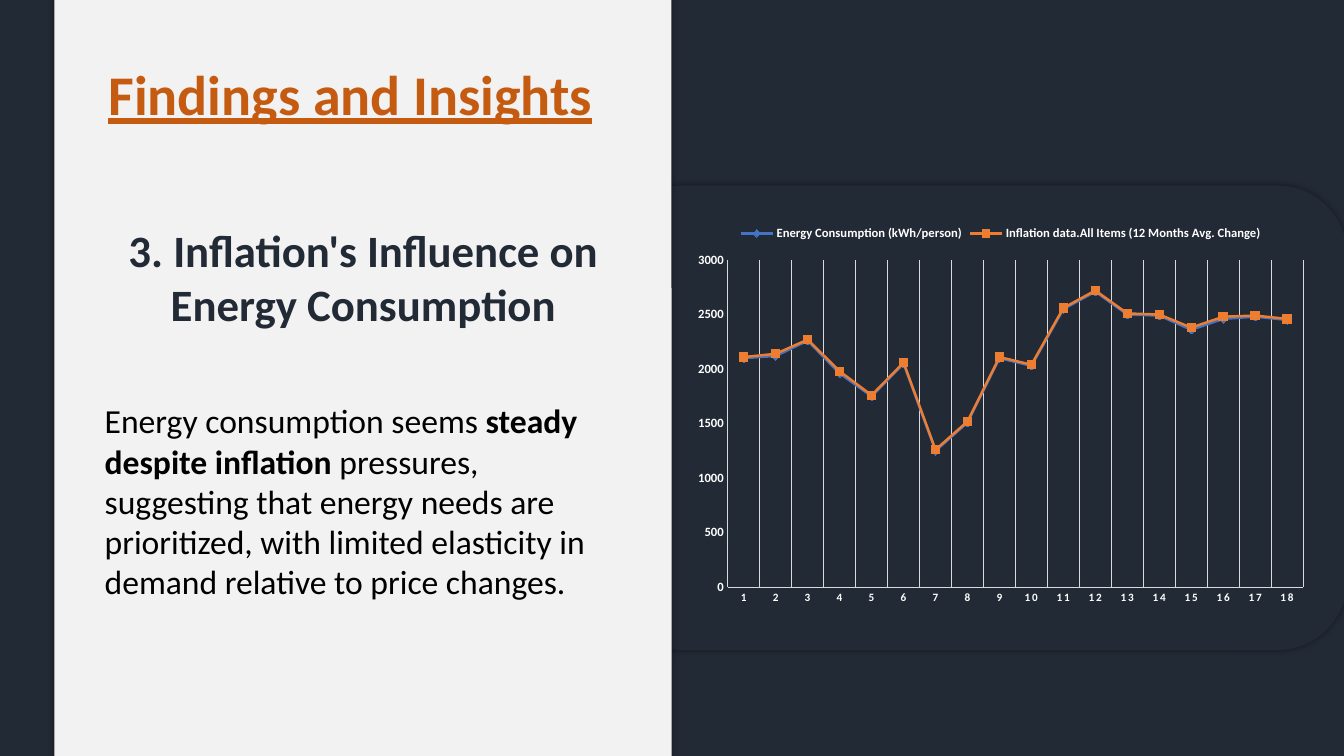
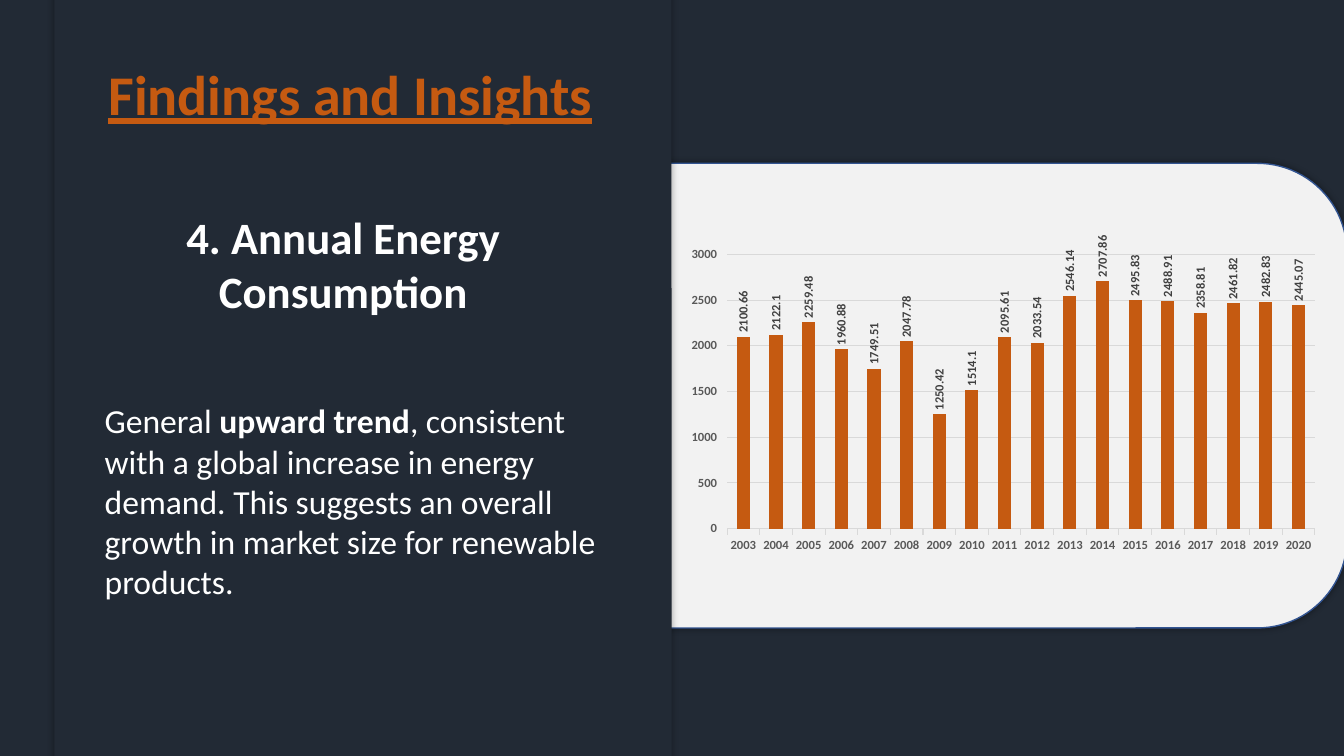
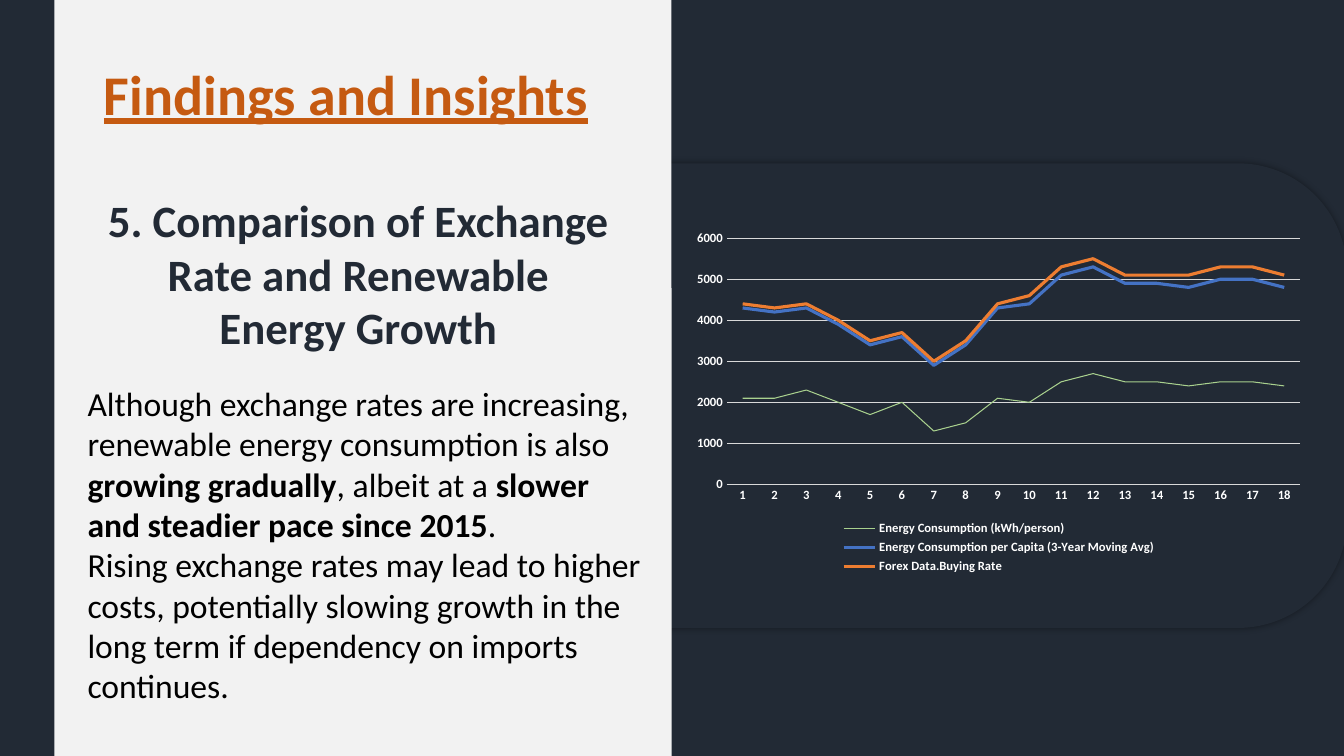
from dataclasses import dataclass
from itertools import zip_longest

from lxml import etree
from pptx import Presentation
from pptx.chart.data import CategoryChartData
from pptx.dml.color import RGBColor
from pptx.enum.chart import (XL_CHART_TYPE, XL_LABEL_POSITION,
                             XL_LEGEND_POSITION, XL_MARKER_STYLE, XL_TICK_MARK)
from pptx.enum.shapes import MSO_SHAPE
from pptx.enum.text import MSO_ANCHOR, MSO_AUTO_SIZE, PP_ALIGN
from pptx.oxml.ns import qn
from pptx.util import Inches, Pt


@dataclass(frozen=True)
class Theme:
    font: str = "Calibri"
    navy: str = "222A35"
    light: str = "F2F2F2"
    rust: str = "C55A11"
    white: str = "FFFFFF"
    black: str = "000000"
    blue: str = "4472C4"
    orange: str = "ED7D31"
    green: str = "A9D18E"
    card_edge: str = "325491"
    grid: str = "D9D9D9"
    axis_gray: str = "595959"
    label_gray: str = "404040"
    title_size: float = 40
    heading_size: float = 32
    body_size: float = 24
    chart_size: float = 9
    small_size: float = 8


THEME = Theme()
PANEL_BOX = (0.54, -1.12, 6.12, 9.59)
CARD_RIGHT, CARD_HEIGHT = 13.36, 4.61
CORNER = 0.83

ENERGY = "Energy Consumption (kWh/person)"
MONTHS = [str(n) for n in range(1, 19)]
YEARS = [str(year) for year in range(2003, 2021)]


def rgb(color):
    return RGBColor.from_string(color)


def place(box):
    return [Inches(length) for length in box]


def style_font(font, size, color, bold=None):
    font.name, font.size, font.bold = THEME.font, Pt(size), bold
    font.color.rgb = rgb(color)


def add_block(slide, box, radius, color, edge=None, shadow=True):
    """Rounded block with an optional edge and soft dark glow."""
    block = slide.shapes.add_shape(MSO_SHAPE.ROUNDED_RECTANGLE, *place(box))
    block.adjustments[0] = radius / min(box[2:])
    block.fill.solid()
    block.fill.fore_color.rgb = rgb(color)
    if edge:
        block.line.color.rgb = rgb(edge)
        block.line.width = Pt(1)
    else:
        block.line.fill.background()
    block.shadow.inherit = False
    if shadow:
        effects = block._element.spPr.find(qn("a:effectLst"))
        glow = etree.SubElement(effects, qn("a:outerShdw"), blurRad=str(Pt(5)),
                                dist="0", dir="0", algn="ctr", rotWithShape="0")
        tint = etree.SubElement(glow, qn("a:srgbClr"), val=THEME.black)
        etree.SubElement(tint, qn("a:alpha"), val="40000")


def fill_text(shape, box, paragraphs, size, color, bold=None, align=PP_ALIGN.LEFT):
    """Place a text shape; every second span of a paragraph is bold."""
    shape.left, shape.top, shape.width, shape.height = place(box)
    frame = shape.text_frame
    frame.word_wrap = True
    frame.auto_size = MSO_AUTO_SIZE.SHAPE_TO_FIT_TEXT
    frame.vertical_anchor = MSO_ANCHOR.TOP
    for index, spans in enumerate(paragraphs):
        paragraph = frame.paragraphs[0] if index == 0 else frame.add_paragraph()
        paragraph.alignment = align
        paragraph.line_spacing = 1.0
        style_font(paragraph.font, size, color, bold)
        for position, words in enumerate(spans):
            run = paragraph.add_run()
            run.text = words
            if position % 2:
                run.font.bold = True


def add_story(slide, title_box, heading, heading_box, body, body_box, dark=False,
              shadow=True):
    """Left panel with title, numbered heading and finding."""
    add_block(slide, PANEL_BOX, CORNER, THEME.navy if dark else THEME.light,
              shadow=shadow)
    title = slide.shapes.title
    slide.shapes._spTree.append(title._element)  # bring in front of the panel
    fill_text(title, title_box, [["Findings and Insights"]], THEME.title_size,
              THEME.rust, True, PP_ALIGN.CENTER)
    title.text_frame.paragraphs[0].font.underline = True
    fill_text(slide.shapes.add_textbox(*place(heading_box)), heading_box, [[heading]],
              THEME.heading_size, THEME.white if dark else THEME.navy, True,
              PP_ALIGN.CENTER)
    fill_text(slide.shapes.add_textbox(*place(body_box)), body_box, body,
              THEME.body_size, THEME.white if dark else THEME.black)


def add_card(slide, left, top, radius, color, edge=None):
    """Chart backdrop that runs from behind the panel to the right edge."""
    add_block(slide, (left, top, CARD_RIGHT - left, CARD_HEIGHT), radius, color, edge)


def style_axis(axis, color, tick, line, grid, size=THEME.chart_size):
    style_font(axis.tick_labels.font, size, color, True)
    axis.major_tick_mark, axis.minor_tick_mark = tick, XL_TICK_MARK.NONE
    if line:
        axis.format.line.color.rgb = rgb(THEME.grid)
        axis.format.line.width = Pt(0.75)
    else:
        axis.format.line.fill.background()
    axis.has_major_gridlines = grid
    if grid:
        axis.major_gridlines.format.line.color.rgb = rgb(THEME.grid)
        axis.major_gridlines.format.line.width = Pt(0.75)


def add_plot(slide, box, kind, categories, series, top_value, step):
    data = CategoryChartData()
    data.categories = categories
    for name, values in series:
        data.add_series(name, values)
    chart = slide.shapes.add_chart(kind, *place(box), data).chart
    style_font(chart.font, 10, THEME.black)
    chart.has_title = False
    chart.has_legend = False
    chart.plots[0].vary_by_categories = False
    chart.value_axis.minimum_scale = 0
    chart.value_axis.maximum_scale = top_value
    chart.value_axis.major_unit = step
    return chart


def add_legend(chart, position):
    chart.has_legend = True
    chart.legend.position = position
    chart.legend.include_in_layout = False
    style_font(chart.legend.font, THEME.chart_size, THEME.white, True)


def style_lines(chart, strokes, markers=()):
    for line, (color, width), marker in zip_longest(chart.series, strokes, markers):
        line.smooth = False
        line.format.line.color.rgb = rgb(color)
        line.format.line.width = Pt(width)
        line.marker.style = marker or XL_MARKER_STYLE.NONE
        if marker:
            line.marker.size = 6
            line.marker.format.fill.solid()
            line.marker.format.fill.fore_color.rgb = rgb(color)
            line.marker.format.line.color.rgb = rgb(color)


def add_inflation_chart(slide, box):
    energy = [2100, 2120, 2260, 1960, 1750, 2050, 1250, 1510, 2100,
              2030, 2550, 2710, 2500, 2490, 2360, 2460, 2480, 2450]
    inflation = [10, 20, 10, 20, 10, 10, 10, 10, 10,
                 10, 10, 10, 10, 10, 20, 20, 10, 10]
    chart = add_plot(slide, box, XL_CHART_TYPE.LINE_MARKERS_STACKED, MONTHS,
                     [(ENERGY, energy),
                      ("Inflation data.All Items (12 Months Avg. Change)", inflation)],
                     3000, 500)
    style_axis(chart.category_axis, THEME.white, XL_TICK_MARK.NONE, True, True,
               THEME.small_size)
    chart.category_axis.tick_labels.font._rPr.set("spc", "120")
    style_axis(chart.value_axis, THEME.white, XL_TICK_MARK.NONE, True, False)
    style_lines(chart, [(THEME.blue, 1.75), (THEME.orange, 1.75)],
                [XL_MARKER_STYLE.DIAMOND, XL_MARKER_STYLE.SQUARE])
    add_legend(chart, XL_LEGEND_POSITION.TOP)


def add_annual_chart(slide, box):
    energy = [2100.66, 2122.1, 2259.48, 1960.88, 1749.51, 2047.78,
              1250.42, 1514.1, 2095.61, 2033.54, 2546.14, 2707.86,
              2495.83, 2488.91, 2358.81, 2461.82, 2482.83, 2445.07]
    chart = add_plot(slide, box, XL_CHART_TYPE.COLUMN_CLUSTERED, YEARS,
                     [("Series 1", energy)], 3000, 500)
    style_axis(chart.category_axis, THEME.axis_gray, XL_TICK_MARK.OUTSIDE, True, False)
    style_axis(chart.value_axis, THEME.axis_gray, XL_TICK_MARK.OUTSIDE, False, True)
    plot = chart.plots[0]
    plot.gap_width = 150
    columns = plot.series[0].format.fill
    columns.solid()
    columns.fore_color.rgb = rgb(THEME.rust)
    # Values stand upright above the columns
    plot.has_data_labels = True
    labels = plot.data_labels
    labels.show_value = True
    labels.position = XL_LABEL_POSITION.OUTSIDE_END
    style_font(labels.font, THEME.chart_size, THEME.label_gray, True)
    turn = labels._element.find(f"{qn('c:txPr')}/{qn('a:bodyPr')}")
    turn.set("rot", "-5400000")
    turn.set("vert", "horz")


def add_exchange_chart(slide, box):
    energy = [2100, 2100, 2300, 2000, 1700, 2000, 1300, 1500, 2100,
              2000, 2500, 2700, 2500, 2500, 2400, 2500, 2500, 2400]
    average = [2200, 2100, 2000, 1900, 1700, 1600, 1600, 1900, 2200,
               2400, 2600, 2600, 2400, 2400, 2400, 2500, 2500, 2400]
    buying_rate = [100] * 9 + [200] * 5 + [300] * 4
    chart = add_plot(slide, box, XL_CHART_TYPE.LINE_STACKED, MONTHS,
                     [(ENERGY, energy),
                      ("Energy Consumption per Capita (3-Year Moving Avg)", average),
                      ("Forex Data.Buying Rate", buying_rate)], 6000, 1000)
    style_axis(chart.category_axis, THEME.white, XL_TICK_MARK.NONE, True, False)
    style_axis(chart.value_axis, THEME.white, XL_TICK_MARK.NONE, False, True)
    style_lines(chart, [(THEME.green, 0.75), (THEME.blue, 2.25), (THEME.orange, 2.25)])
    add_legend(chart, XL_LEGEND_POSITION.BOTTOM)


def new_slide(deck):
    slide = deck.slides.add_slide(deck.slide_layouts[5])
    slide.background.fill.solid()
    slide.background.fill.fore_color.rgb = rgb(THEME.navy)
    return slide


def build_inflation(deck):
    slide = new_slide(deck)
    add_card(slide, 6.07, 1.84, 0.69, THEME.navy)
    add_story(slide, (0.94, 0.54, 5.07, 0.77),
              "3. Inflation's Influence on Energy Consumption",
              (0.94, 2.16, 5.33, 1.18),
              [["Energy consumption seems ", "steady despite inflation",
                " pressures, suggesting that energy needs are prioritized, with "
                "limited elasticity in demand relative to price changes."]],
              (0.94, 3.92, 5.33, 2.12))
    add_inflation_chart(slide, (6.8, 2.13, 6.25, 3.95))


def build_annual(deck):
    slide = new_slide(deck)
    add_card(slide, 5.72, 1.62, 0.89, THEME.light, THEME.card_edge)
    add_story(slide, (0.94, 0.54, 5.07, 0.77),
              "4. Annual Energy Consumption", (0.54, 2.03, 5.73, 1.18),
              [["General ", "upward trend",
                ", consistent with a global increase in energy demand. This suggests "
                "an overall growth in market size for renewable products."]],
              (0.94, 3.92, 5.33, 2.12), dark=True)
    add_annual_chart(slide, (6.73, 2.34, 6.44, 3.21))


def build_exchange(deck):
    slide = new_slide(deck)
    add_card(slide, 5.22, 1.62, 1.08, THEME.navy)
    add_story(slide, (0.86, 0.54, 5.14, 0.77),
              "5. Comparison of Exchange Rate and Renewable Energy Growth",
              (0.89, 1.86, 5.33, 1.72),
              [["Although exchange rates are increasing, renewable energy "
                "consumption is also ", "growing gradually", ", albeit at a ",
                "slower and steadier pace since 2015", "."],
               ["Rising exchange rates may lead to higher costs, potentially slowing "
                "growth in the long term if dependency on imports continues."]],
              (0.77, 3.75, 5.76, 3.33), shadow=False)
    add_exchange_chart(slide, (6.79, 2.22, 6.23, 3.51))


def main():
    deck = Presentation()
    deck.slide_width, deck.slide_height = Inches(13.33), Inches(7.5)
    for build in (build_inflation, build_annual, build_exchange):
        build(deck)
    deck.save("out.pptx")


if __name__ == "__main__":
    main()
